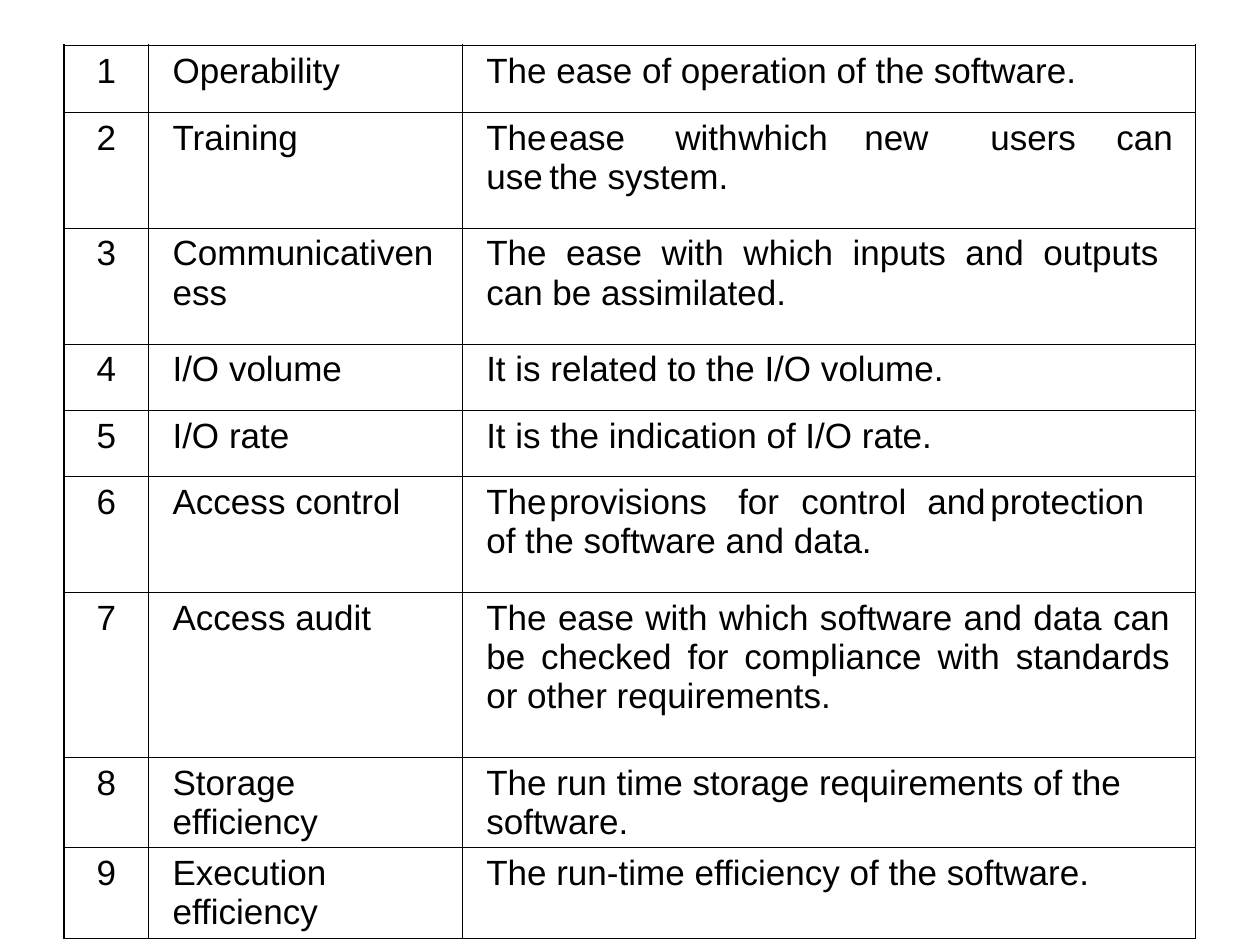
from dataclasses import dataclass

import lxml.etree
import pptx
import pptx.dml.color
import pptx.enum.text
import pptx.oxml.ns
import pptx.util

ALIGN = pptx.enum.text.PP_ALIGN


@dataclass(frozen=True)
class Theme:
    font: str = "Arial"
    size: float = 20
    ink: str = "000000"
    inner_line: float = 0.45
    outer_line: float = 1.08
    indent: float = 0.09


@dataclass(frozen=True)
class Factor:
    name: str
    meaning: str
    height: float
    tabs: tuple = ()
    justified: bool = False
    right_margin: float = 0.1


THEME = Theme()
COLUMNS = (0.67, 2.49, 5.82)
FACTORS = (
    Factor("Operability", "The ease of operation of the software.", 0.53),
    Factor("Training", "The\tease\twith\twhich\tnew\tusers\tcan\tuse\tthe system.", 0.92,
           tabs=(0.69, 1.41, 2.02, 2.83, 3.45, 4.23, 4.81)),
    Factor("Communicativeness",
           "The ease with which inputs and outputs can be assimilated.", 0.92,
           justified=True, right_margin=0.29),
    Factor("I/O volume", "It is related to the I/O volume.", 0.53),
    Factor("I/O rate", "It is the indication of I/O rate.", 0.52),
    Factor("Access control",
           "The\tprovisions\tfor\tcontrol\tand\tprotection\tof the software and data.", 0.92,
           tabs=(0.66, 1.93, 2.36, 3.34, 3.96, 5.03)),
    Factor("Access audit",
           "The ease with which software and data can be checked for compliance "
           "with standards or other requirements.", 1.31,
           justified=True, right_margin=0.2),
    Factor("Storage efficiency", "The run time storage requirements of the software.", 0.67),
    Factor("Execution efficiency", "The run-time efficiency of the software.", 0.67),
)


def add_element(parent, tag, **attributes):
    element = lxml.etree.SubElement(parent, pptx.oxml.ns.qn(tag))
    for name, value in attributes.items():
        element.set(name, str(value))
    return element


def draw_borders(cell, outer_sides):
    properties = cell._tc.get_or_add_tcPr()
    for side in "LRTB":
        width = THEME.outer_line if side in outer_sides else THEME.inner_line
        line = add_element(properties, f"a:ln{side}", w=pptx.util.Pt(width))
        fill = add_element(line, "a:solidFill")
        add_element(fill, "a:srgbClr", val=THEME.ink)
    cell.fill.background()


def write_cell(cell, text, align, indent=0, tabs=()):
    para = cell.text_frame.paragraphs[0]
    para.text = text
    properties = para._p.get_or_add_pPr()
    properties.set("marL", str(pptx.util.Inches(indent)))
    properties.set("indent", "0")
    if tabs:
        stops = add_element(properties, "a:tabLst")
        for stop in tabs:
            add_element(stops, "a:tab", pos=pptx.util.Inches(stop), algn="l")
    para.alignment = align
    para.font.name = THEME.font
    para.font.size = pptx.util.Pt(THEME.size)
    para.font.color.rgb = pptx.dml.color.RGBColor.from_string(THEME.ink)


def add_factor_table(page, left, top):
    width = pptx.util.Inches(sum(COLUMNS))
    height = pptx.util.Inches(sum(factor.height for factor in FACTORS))
    table = page.shapes.add_table(
        len(FACTORS), len(COLUMNS), left, top, width, height).table
    table.first_row = False
    table.horz_banding = False
    for column, share in zip(table.columns, COLUMNS):
        column.width = pptx.util.Inches(share)
    for index, factor in enumerate(FACTORS):
        row = table.rows[index]
        row.height = pptx.util.Inches(factor.height)
        number, name, meaning = row.cells
        write_cell(number, str(index + 1), ALIGN.CENTER)
        write_cell(name, factor.name, ALIGN.LEFT, THEME.indent)
        write_cell(meaning, factor.meaning,
                   ALIGN.JUSTIFY if factor.justified else ALIGN.LEFT,
                   THEME.indent, factor.tabs)
        meaning.margin_right = pptx.util.Inches(factor.right_margin)
        row_sides = ("T" if index == 0 else "") + ("B" if index == len(FACTORS) - 1 else "")
        for cell, column_side in zip((number, name, meaning), ("L", "", "R")):
            draw_borders(cell, row_sides + column_side)


def main():
    deck = pptx.Presentation()
    deck.slide_width = pptx.util.Inches(10)
    deck.slide_height = pptx.util.Inches(7.5)
    page = deck.slides.add_slide(deck.slide_layouts[6])
    add_factor_table(page, int(deck.slide_width * 0.051), int(deck.slide_height * 0.048))
    deck.save("out.pptx")


if __name__ == "__main__":
    main()
